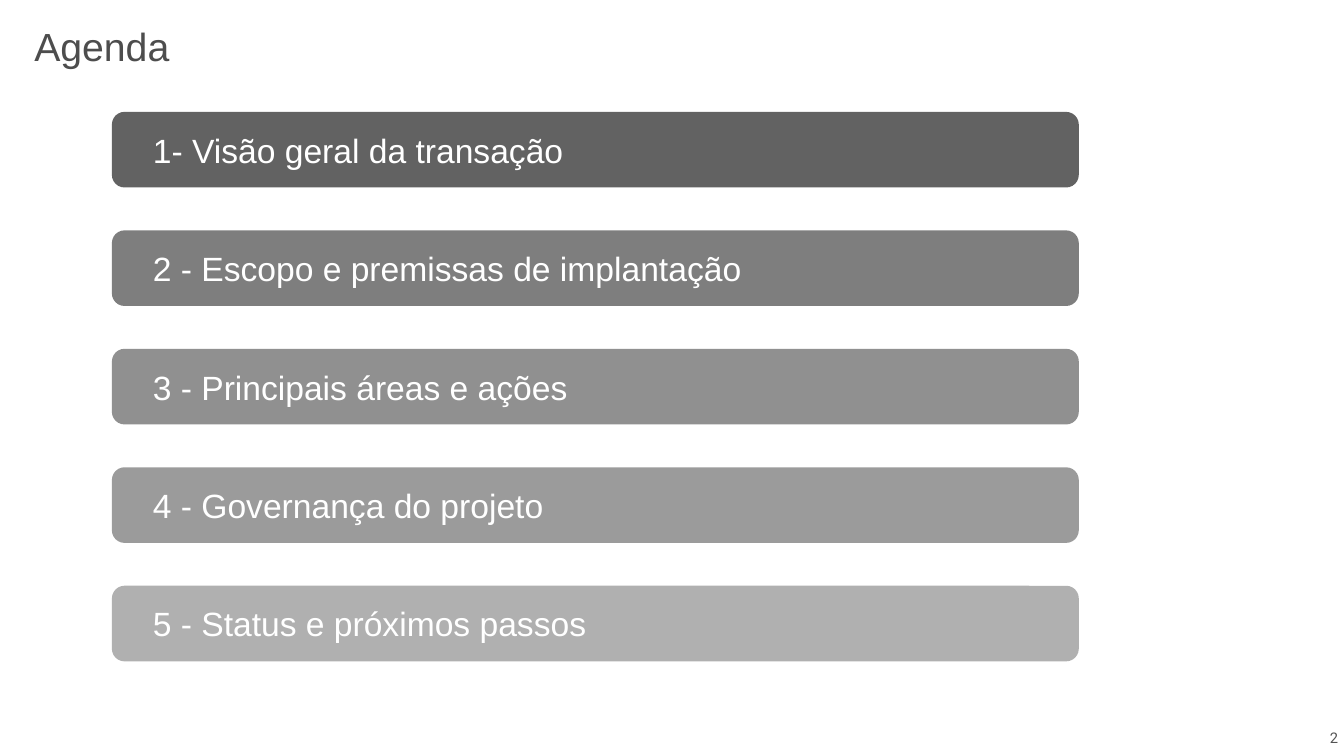
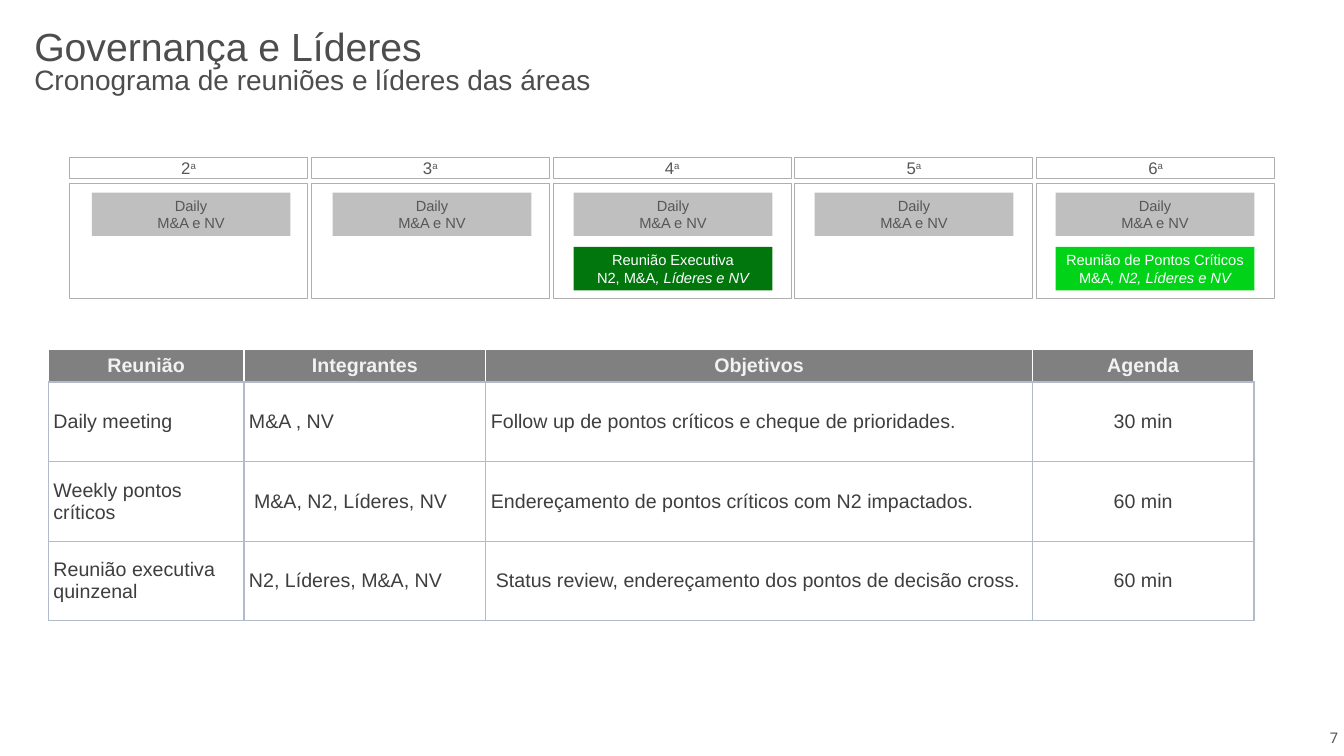
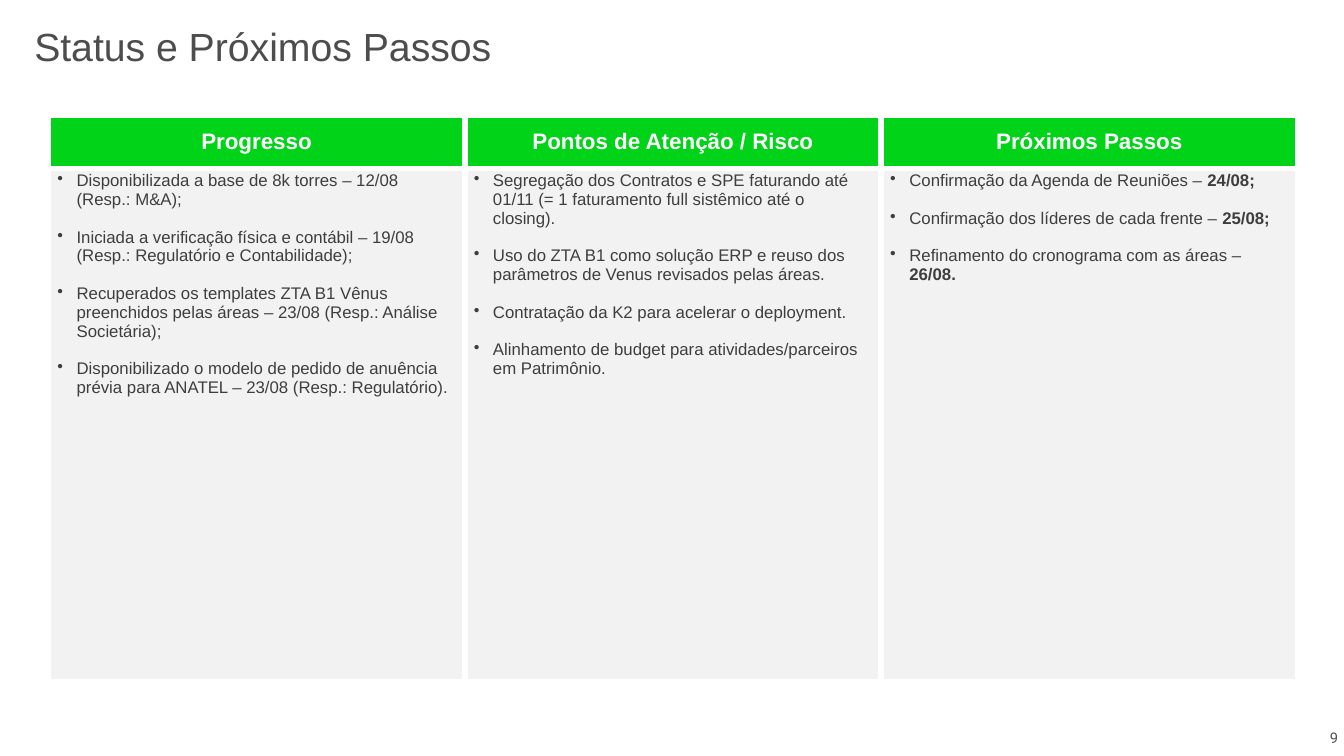
from lxml import etree
from pptx import Presentation
from pptx.dml.color import RGBColor
from pptx.enum.shapes import MSO_SHAPE
from pptx.enum.text import MSO_ANCHOR, MSO_AUTO_SIZE, PP_ALIGN
from pptx.oxml.ns import qn
from pptx.util import Inches, Pt

RECT, ROUND, PLATE = MSO_SHAPE.RECTANGLE, MSO_SHAPE.ROUNDED_RECTANGLE, MSO_SHAPE.PENTAGON
LEFT, CENTER, RIGHT = PP_ALIGN.LEFT, PP_ALIGN.CENTER, PP_ALIGN.RIGHT
TOP, MIDDLE = MSO_ANCHOR.TOP, MSO_ANCHOR.MIDDLE
NO_FIT = MSO_AUTO_SIZE.NONE

WHITE = RGBColor(0xFF, 0xFF, 0xFF)
PALE = RGBColor(0xF2, 0xF2, 0xF2)
SILVER = RGBColor(0xBF, 0xBF, 0xBF)
FRAME = RGBColor(0xAF, 0xAF, 0xAF)
GRID = RGBColor(0xB1, 0xBB, 0xCC)
GRAY = RGBColor(0x80, 0x80, 0x80)
LABEL = RGBColor(0x57, 0x57, 0x57)
NUMBER = RGBColor(0x53, 0x53, 0x53)
SLATE = RGBColor(0x4D, 0x4D, 0x4D)
DARK = RGBColor(0x40, 0x40, 0x40)
INK = RGBColor(0x3E, 0x3E, 0x3E)
GREEN = RGBColor(0x00, 0xD3, 0x18)
FOREST = RGBColor(0x00, 0x76, 0x0D)

BOLD, ITALIC = {"bold": True}, {"italic": True}


def style(size, color, **extra):
    return {"name": "Arial", "size": Pt(size), "color": color, "bold": False, **extra}


class Deck:
    SIDES = ("left", "top", "right", "bottom")
    TITLE = style(28, SLATE)
    SUBTITLE = {"size": Pt(20)}
    FOOTER = style(10.5, NUMBER, name="Roboto")

    def __init__(self):
        self.prs = Presentation()
        self.prs.slide_width, self.prs.slide_height = Inches(13.33), Inches(7.5)
        self.slide = None

    def x(self, percent):
        return int(self.prs.slide_width * percent / 100)

    def y(self, percent):
        return int(self.prs.slide_height * percent / 100)

    def box(self, x, y, w, h):
        return self.x(x), self.y(y), self.x(w), self.y(h)

    def margins(self, target, insets):
        for side, inset in zip(self.SIDES, insets):
            setattr(target, f"margin_{side}", Inches(inset))

    def text(self, tf, paragraphs, font, align=LEFT, bullet=False, **layout):
        for i, runs in enumerate(paragraphs):
            p = tf.paragraphs[0] if i == 0 else tf.add_paragraph()
            if bullet:
                pPr = p._p.get_or_add_pPr()
                pPr.set("marL", str(Inches(0.19)))
                pPr.set("indent", str(-Inches(0.19)))
                etree.SubElement(pPr, qn("a:buChar")).set("char", "•")
            p.alignment = align
            for name, value in layout.items():
                if i or name != "space_before":
                    setattr(p, name, value)
            for run in [runs] if isinstance(runs, str) else runs:
                words, change = (run, {}) if isinstance(run, str) else run
                r = p.add_run()
                r.text = words
                for name, value in {**font, **change}.items():
                    if name == "color":
                        r.font.color.rgb = value
                    elif name == "baseline":
                        r._r.get_or_add_rPr().set(name, value)
                    else:
                        setattr(r.font, name, value)

    def frame(self, sp, anchor, insets):
        tf = sp.text_frame
        tf.word_wrap, tf.auto_size, tf.vertical_anchor = True, NO_FIT, anchor
        self.margins(tf, insets)
        return tf

    def new_slide(self, number, title, subtitle=None):
        self.slide = self.prs.slides.add_slide(self.prs.slide_layouts[5])
        sp = self.slide.shapes.title
        sp.left, sp.top, sp.width, sp.height = self.box(2.55, 4.13, 84.92, 8.73)
        lines = [title] + ([[(subtitle, self.SUBTITLE)]] if subtitle else [])
        self.text(self.frame(sp, TOP, (0, 0, 0, 0)), lines, self.TITLE, line_spacing=0.8)
        sp = self.slide.shapes.add_textbox(*self.box(90.7, 96.27, 9.23, 2.53))
        self.text(self.frame(sp, MIDDLE, (0.05,) * 4), [str(number)], self.FOOTER, RIGHT)

    def shape(self, kind, box, fill=None, line=None, alpha=None, paragraphs=(),
              font=None, align=CENTER, insets=(0, 0, 0, 0)):
        sp = self.slide.shapes.add_shape(kind, *self.box(*box))
        sp.shadow.inherit = False
        if kind == PLATE:
            sp.adjustments[0] = 0
        if fill is None:
            sp.fill.background()
        else:
            sp.fill.solid()
            sp.fill.fore_color.rgb = fill
        if alpha:
            color = sp._element.spPr.find(qn("a:solidFill"))[0]
            etree.SubElement(color, qn("a:alpha")).set("val", str(alpha * 1000))
        if line is None:
            sp.line.fill.background()
        else:
            sp.line.color.rgb, sp.line.width = line, Pt(0.75)
        self.text(self.frame(sp, MIDDLE, insets), paragraphs, font, align)

    def table(self, x, y, cols, rows):
        box = self.box(x, y, sum(cols), sum(rows))
        table = self.slide.shapes.add_table(len(rows), len(cols), *box).table
        table.horz_banding = False
        for column, width in zip(table.columns, cols):
            column.width = self.x(width)
        for row, height in zip(table.rows, rows):
            row.height = self.y(height)
        return table

    def cell(self, cell, paragraphs, font, fill, borders, width,
             anchor=MIDDLE, insets=(0.05, 0, 0.05, 0), **layout):
        tcPr = cell._tc.get_or_add_tcPr()
        for side, color in zip("LRTB", borders):
            ln = etree.SubElement(tcPr, qn(f"a:ln{side}"), w=str(Pt(width)))
            solid = etree.SubElement(ln, qn("a:solidFill"))
            etree.SubElement(solid, qn("a:srgbClr"), val=str(color))
        cell.fill.solid()
        cell.fill.fore_color.rgb = fill
        cell.vertical_anchor = anchor
        self.margins(cell, insets)
        self.text(cell.text_frame, paragraphs, font, **layout)


def agenda(deck):
    deck.new_slide(2, "Agenda")
    topics = [
        ("1- Visão geral da transação", DARK, 82),
        ("2 - Escopo e premissas de implantação", SLATE, 72),
        ("3 - Principais áreas e ações", SLATE, 62),
        ("4 - Governança do projeto", SLATE, 56),
        ("5 - Status e próximos passos", SLATE, 44),
    ]
    for i, (topic, color, alpha) in enumerate(topics):
        deck.shape(ROUND, (8.33, 14.8 + 15.67 * i, 71.94, 10), color, alpha=alpha,
                   paragraphs=[topic], font=style(24, WHITE), align=LEFT,
                   insets=(0.37, 0, 0, 0))


def governance(deck):
    deck.new_slide(7, "Governança e Líderes", "Cronograma de reuniões e líderes das áreas")

    def meeting(day, y, fill, color, lines):
        deck.shape(PLATE, (6.83 + 17.93 * day, y, 14.78, 5.73), fill,
                   paragraphs=lines, font=style(10.5, color))

    for day in range(5):
        x = 5.18 + 17.99 * day
        deck.shape(RECT, (x, 24.27, 17.7, 15.2), line=FRAME)
        deck.shape(RECT, (x, 20.8, 17.7, 2.8), line=FRAME, font=style(12, LABEL),
                   paragraphs=[[str(day + 2), ("a", {"baseline": "30000"})]])
        meeting(day, 25.47, SILVER, LABEL, ["Daily", "M&A e NV"])
    meeting(2, 32.67, FOREST, WHITE,
            ["Reunião Executiva", ["N2, M&A", (", Líderes e NV", ITALIC)]])
    meeting(4, 32.67, GREEN, WHITE,
            ["Reunião de Pontos Críticos", ["M&A", (", N2, Líderes e NV", ITALIC)]])

    rows = [
        ("Reunião", "Integrantes", "Objetivos", "Agenda"),
        ("Daily meeting", "M&A , NV",
         "Follow up de pontos críticos e cheque de prioridades.", "30 min"),
        ("Weekly pontos críticos", "M&A, N2, Líderes, NV",
         "Endereçamento de pontos críticos com N2 impactados.", "60 min"),
        ("Reunião executiva quinzenal", "N2, Líderes, M&A, NV",
         "Status review, endereçamento dos pontos de decisão cross.", "60 min"),
    ]
    indented = {(2, 1), (3, 2)}
    table = deck.table(3.6, 46.27, (14.55, 18, 40.66, 16.5), (4.27,) + (10.53,) * 3)
    for i, row in enumerate(rows):
        for j, words in enumerate(row):
            head = i == 0
            deck.cell(table.cell(i, j), [words],
                      {**style(14, PALE), **BOLD} if head else style(14, INK),
                      GRAY if head else WHITE,
                      (WHITE, WHITE, WHITE, GRID) if head else (GRID,) * 4, 1,
                      insets=(0.1 if (i, j) in indented else 0.05, 0, 0.05, 0),
                      align=CENTER if head or j == 3 else LEFT)


def status(deck):
    deck.new_slide(9, "Status e Próximos Passos")
    columns = {
        "Progresso": [
            "Disponibilizada a base de 8k torres – 12/08 (Resp.: M&A);",
            "Iniciada a verificação física e contábil – 19/08 "
            "(Resp.: Regulatório e Contabilidade);",
            "Recuperados os templates ZTA B1 Vênus preenchidos pelas áreas – 23/08 "
            "(Resp.: Análise Societária);",
            "Disponibilizado o modelo de pedido de anuência prévia para ANATEL – 23/08 "
            "(Resp.: Regulatório).",
        ],
        "Pontos de Atenção / Risco": [
            "Segregação dos Contratos e SPE faturando até 01/11 "
            "(= 1 faturamento full sistêmico até o closing).",
            "Uso do ZTA B1 como solução ERP e reuso dos parâmetros de Venus "
            "revisados pelas áreas.",
            "Contratação da K2 para acelerar o deployment.",
            "Alinhamento de budget para atividades/parceiros em Patrimônio.",
        ],
        "Próximos Passos": [
            ["Confirmação da Agenda de Reuniões – ", ("24/08;", BOLD)],
            ["Confirmação dos líderes de cada frente – ", ("25/08;", BOLD)],
            ["Refinamento do cronograma com as áreas – ", ("26/08.", BOLD)],
        ],
    }
    table = deck.table(3.6, 15.2, (30.98,) * 3, (7.07, 67.87))
    borders = (WHITE,) * 4
    for j, (heading, items) in enumerate(columns.items()):
        deck.cell(table.cell(0, j), [heading], {**style(16, WHITE), **BOLD}, GREEN, borders, 4.5,
                  insets=(0.01, 0.01, 0.01, 0), align=CENTER)
        deck.cell(table.cell(1, j), items, style(12, INK), PALE, borders, 4.5, anchor=TOP,
                  insets=(0.09, 0.03, 0.09, 0.03), bullet=True, space_before=Pt(13.4))


def main():
    deck = Deck()
    for build in (agenda, governance, status):
        build(deck)
    deck.prs.save("out.pptx")


if __name__ == "__main__":
    main()
